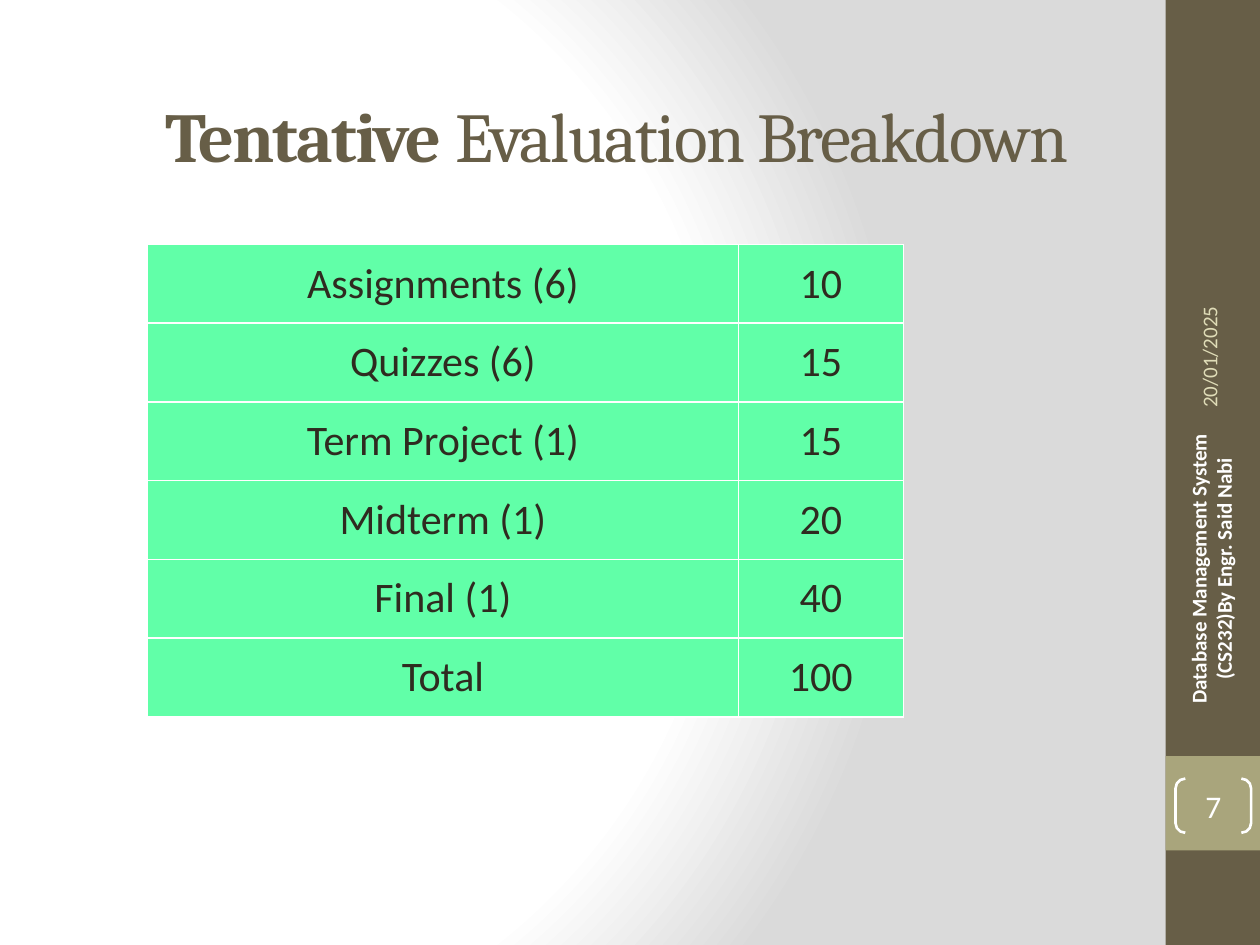
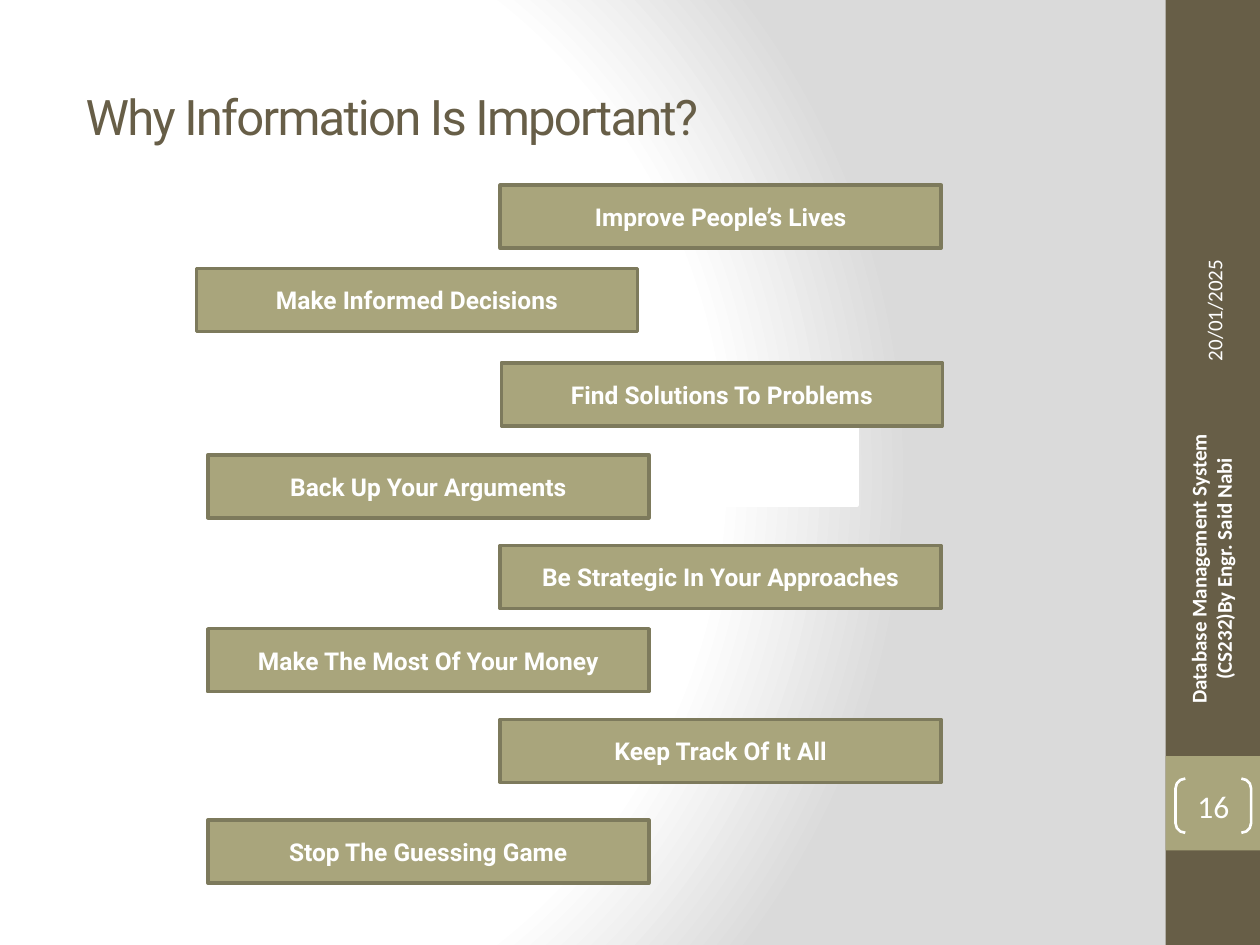
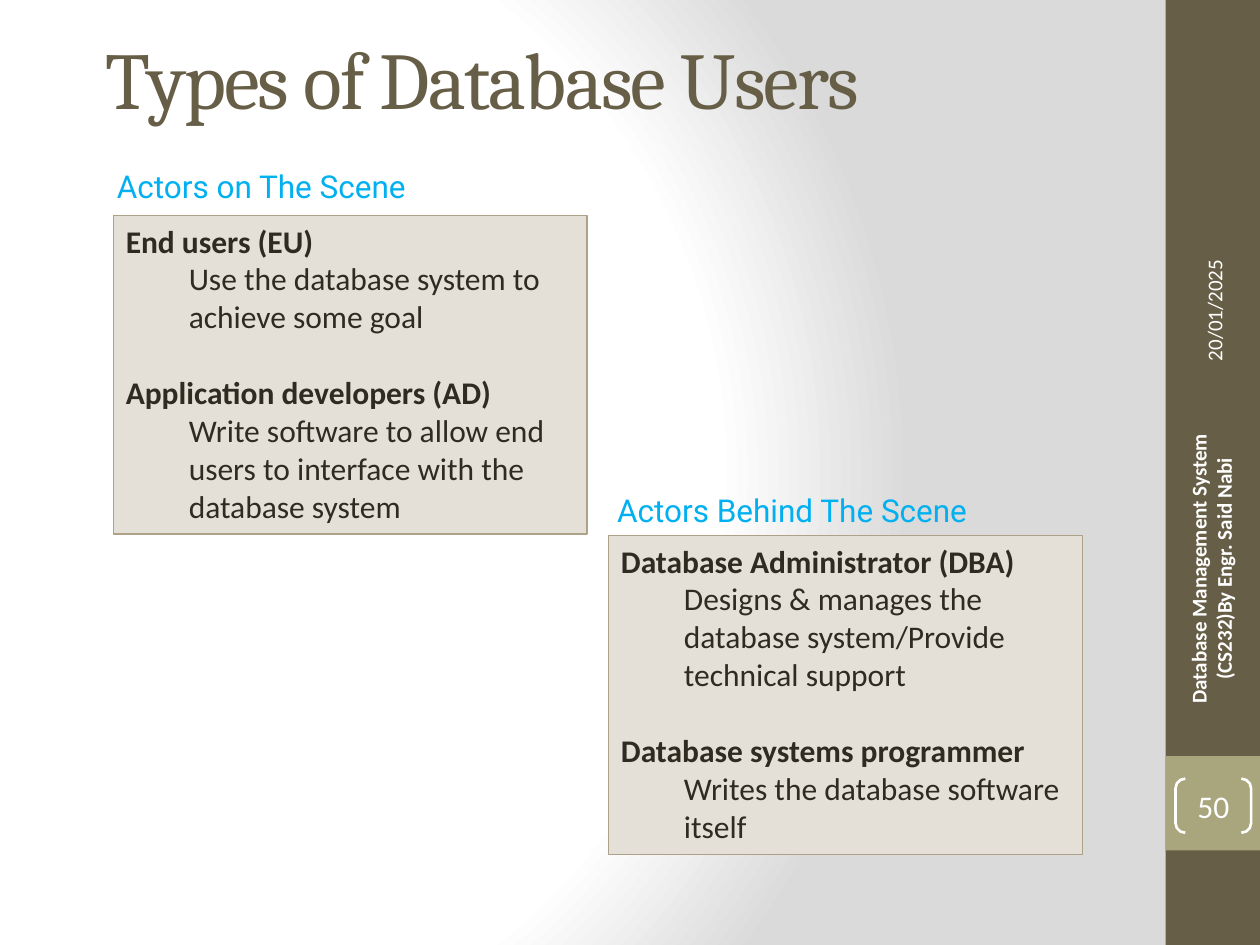
from dataclasses import dataclass

from pptx import Presentation
from pptx.dml.color import RGBColor
from pptx.enum.shapes import MSO_SHAPE
from pptx.enum.text import MSO_ANCHOR, MSO_AUTO_SIZE, PP_ALIGN
from pptx.oxml import parse_xml
from pptx.oxml.ns import nsdecls
from pptx.util import Pt

RECTANGLE, BRACKETS = MSO_SHAPE.RECTANGLE, MSO_SHAPE.DOUBLE_BRACKET
TOP, MIDDLE, BOTTOM = MSO_ANCHOR.TOP, MSO_ANCHOR.MIDDLE, MSO_ANCHOR.BOTTOM
LEFT, CENTER = PP_ALIGN.LEFT, PP_ALIGN.CENTER
NO_AUTOFIT = MSO_AUTO_SIZE.NONE


@dataclass(frozen=True)
class Theme:
    brown: str = "675E47"
    olive: str = "A9A57C"
    olive_dark: str = "7D7A5C"
    cream: str = "DFDCB7"
    white: str = "FFFFFF"
    gray: str = "DADADA"
    ink: str = "2F2B20"
    mint: str = "61FFA8"
    sand: str = "E4E0D7"
    sand_dark: str = "ADA288"
    sky: str = "00B0F0"
    serif: str = "Cambria"
    sans: str = "Calibri"
    accent_font: str = "Roboto"
    footer_size: int = 12
    reason_size: int = 14
    body_size: int = 18
    table_size: int = 24


theme = Theme()


def write(paragraph, text, size, font, color, bold=False):
    run = paragraph.add_run()
    run.text = text
    run.font.size = Pt(size)
    run.font.name = font
    run.font.bold = bold
    run.font.color.rgb = RGBColor.from_string(color)
    return run


def add_box(slide, preset, place, fill=None, line=None, width=1):
    box = slide.shapes.add_shape(preset, *map(Pt, place))
    box.shadow.inherit = False
    if fill:
        box.fill.solid()
        box.fill.fore_color.rgb = RGBColor.from_string(fill)
    else:
        box.fill.background()
    if line:
        box.line.color.rgb = RGBColor.from_string(line)
        box.line.width = Pt(width)
    else:
        box.line.fill.background()
    box.text_frame.word_wrap = True
    return box


prs = Presentation()
prs.slide_width, prs.slide_height = Pt(720), Pt(540)

# Shared background: white glow fading to gray on the right
master = prs.slide_master
master.background.fill.solid()
background = master.element.xpath(".//p:bgPr")[0]
stops = "".join(
    f'<a:gs pos="{position}"><a:srgbClr val="{color}"/></a:gs>'
    for position, color in ((0, theme.white), (75000, theme.white), (100000, theme.gray))
)
background.replace(background[0], parse_xml(
    f'<a:gradFill rotWithShape="1" {nsdecls("a")}><a:gsLst>{stops}</a:gsLst><a:path path="circle">'
    '<a:fillToRect l="20000" t="50000" r="100000" b="50000"/></a:path></a:gradFill>'
))

# Slides with title, side band, page number, course and date
pages = [
    # number, title place, anchor, size, font, title runs (text, bold), date place, date colour
    ("7", (87.12, 43.92, 537.12, 66.24), MIDDLE, 40, theme.serif,
     [("Tentative", True), (" Evaluation Breakdown", False)], (594.72, 129.6), theme.cream),
    ("16", (41.76, 49.68, 648, 63.36), TOP, 28, theme.accent_font,
     [("Why Information Is Important?", False)], (597.6, 102.96), theme.white),
    ("50", (53.28, -2.88, 614.16, 78.48), BOTTOM, 46, theme.serif,
     [("Types of Database Users", False)], (597.6, 102.96), theme.white),
]
slides = []
for number, place, anchor, size, font, title_runs, date_place, date_color in pages:
    slide = prs.slides.add_slide(prs.slide_layouts[5])
    slides.append(slide)

    title = slide.shapes.title
    title.left, title.top, title.width, title.height = map(Pt, place)
    frame = title.text_frame
    frame.auto_size = NO_AUTOFIT
    frame.word_wrap = True
    frame.vertical_anchor = anchor
    if anchor == TOP:
        frame.margin_top = Pt(0)
    frame.paragraphs[0].alignment = LEFT
    for text, bold in title_runs:
        run = write(frame.paragraphs[0], text, size, font, theme.brown, bold)
        run._r.get_or_add_rPr().set("spc", "-100")

    add_box(slide, RECTANGLE, (666, 0, 54, 540), theme.brown)
    add_box(slide, RECTANGLE, (666, 432, 54, 54), theme.olive)

    page_number = add_box(slide, BRACKETS, (671.76, 444.96, 43.2, 30.96), None, theme.white, 1.5)
    page_number.adjustments[0] = 0.18
    frame = page_number.text_frame
    frame.margin_left = frame.margin_right = frame.margin_top = frame.margin_bottom = Pt(0)
    frame.vertical_anchor = MIDDLE
    frame.paragraphs[0].alignment = CENTER
    write(frame.paragraphs[0], number, theme.body_size, theme.sans, theme.white)

    course = slide.shapes.add_textbox(Pt(599), Pt(320.4), Pt(185.76), Pt(28.8))
    course.rotation = 270
    frame = course.text_frame
    frame.word_wrap = True
    frame.margin_left, frame.margin_right = Pt(19.5), Pt(0)
    frame.vertical_anchor = MIDDLE
    frame.paragraphs[0].alignment = CENTER
    write(frame.paragraphs[0], "Database Management System (CS232)By Engr. Said Nabi",
          theme.footer_size, theme.sans, theme.white, True)

    date = slide.shapes.add_textbox(*map(Pt, date_place), Pt(192.24), Pt(28.8))
    date.rotation = 270
    date.text_frame.word_wrap = True
    date.text_frame.vertical_anchor = MIDDLE
    write(date.text_frame.paragraphs[0], "20/01/2025", theme.footer_size, theme.sans, date_color)

evaluation, importance, users = slides

# Evaluation table
marks = [
    ("Assignments (6)", "10"),
    ("Quizzes (6)", "15"),
    ("Term Project (1)", "15"),
    ("Midterm (1)", "20"),
    ("Final (1)", "40"),
    ("Total", "100"),
]
table = evaluation.shapes.add_table(len(marks), 2, Pt(84.24), Pt(139.68), Pt(432), Pt(270)).table
table.first_row = table.horz_banding = False
table.columns[0].width, table.columns[1].width = Pt(337.68), Pt(94.32)
for row, values in enumerate(marks):
    for column, value in enumerate(values):
        cell = table.cell(row, column)
        cell.fill.solid()
        cell.fill.fore_color.rgb = RGBColor.from_string(theme.mint)
        cell.margin_left = cell.margin_right = cell.margin_top = cell.margin_bottom = Pt(0)
        cell.vertical_anchor = MIDDLE
        paragraph = cell.text_frame.paragraphs[0]
        paragraph.alignment = CENTER
        write(paragraph, value, theme.table_size, theme.sans, theme.ink)

# Reasons, staggered over a white panel
add_box(importance, RECTANGLE, (111.6, 234.72, 378, 54), theme.white, theme.white, 2)
reasons = [
    ("Improve People’s Lives", 285.84, 105.84),
    ("Make Informed Decisions", 112.32, 153.36),
    ("Find Solutions To Problems", 286.56, 207.36),
    ("Back Up Your Arguments", 118.8, 259.92),
    ("Be Strategic In Your Approaches", 285.84, 311.76),
    ("Make The Most Of Your Money", 118.8, 359.28),
    ("Keep Track Of It All", 285.84, 411.12),
    ("Stop The Guessing Game", 118.8, 468.72),
]
for text, left, top in reasons:
    reason = add_box(importance, RECTANGLE, (left, top, 252, 36), theme.olive, theme.olive_dark, 2)
    reason.text_frame.vertical_anchor = MIDDLE
    paragraph = reason.text_frame.paragraphs[0]
    paragraph.alignment = CENTER
    write(paragraph, text, theme.reason_size, theme.accent_font, theme.white, True)

# User groups: a heading above a card of roles
groups = [
    ("Actors on The Scene", (59.76, 92.16), (64.8, 123.12), [
        ("End users (EU)", "Use the database system to achieve some goal"),
        ("Application developers (AD)",
         "Write software to allow end users to interface with the database system"),
    ]),
    ("Actors Behind The Scene", (345.6, 277.2), (347.76, 306), [
        ("Database Administrator (DBA)",
         "Designs & manages the database system/Provide technical support"),
        ("Database systems programmer", "Writes the database software itself"),
    ]),
]
for heading_text, heading_place, card_place, roles in groups:
    card = add_box(users, RECTANGLE, (*card_place, 270.72, 182.16), theme.sand, theme.sand_dark, 0.75)
    frame = card.text_frame
    frame.vertical_anchor = TOP
    for index, (role, duty) in enumerate(roles):
        role_line = frame.add_paragraph() if index else frame.paragraphs[0]
        role_line.alignment = LEFT
        if index:
            role_line.space_before = Pt(22)
        write(role_line, role, theme.body_size, theme.sans, theme.ink, True)
        duty_line = frame.add_paragraph()
        duty_line.alignment = LEFT
        duty_line.level = 1
        properties = duty_line._p.get_or_add_pPr()
        properties.set("marL", str(Pt(36)))
        properties.set("indent", "0")
        write(duty_line, duty, theme.body_size, theme.sans, theme.ink)

    heading = users.shapes.add_textbox(*map(Pt, heading_place), Pt(360), Pt(28.8))
    heading.text_frame.word_wrap = True
    write(heading.text_frame.paragraphs[0], heading_text, theme.body_size, theme.accent_font, theme.sky)

prs.save("out.pptx")
